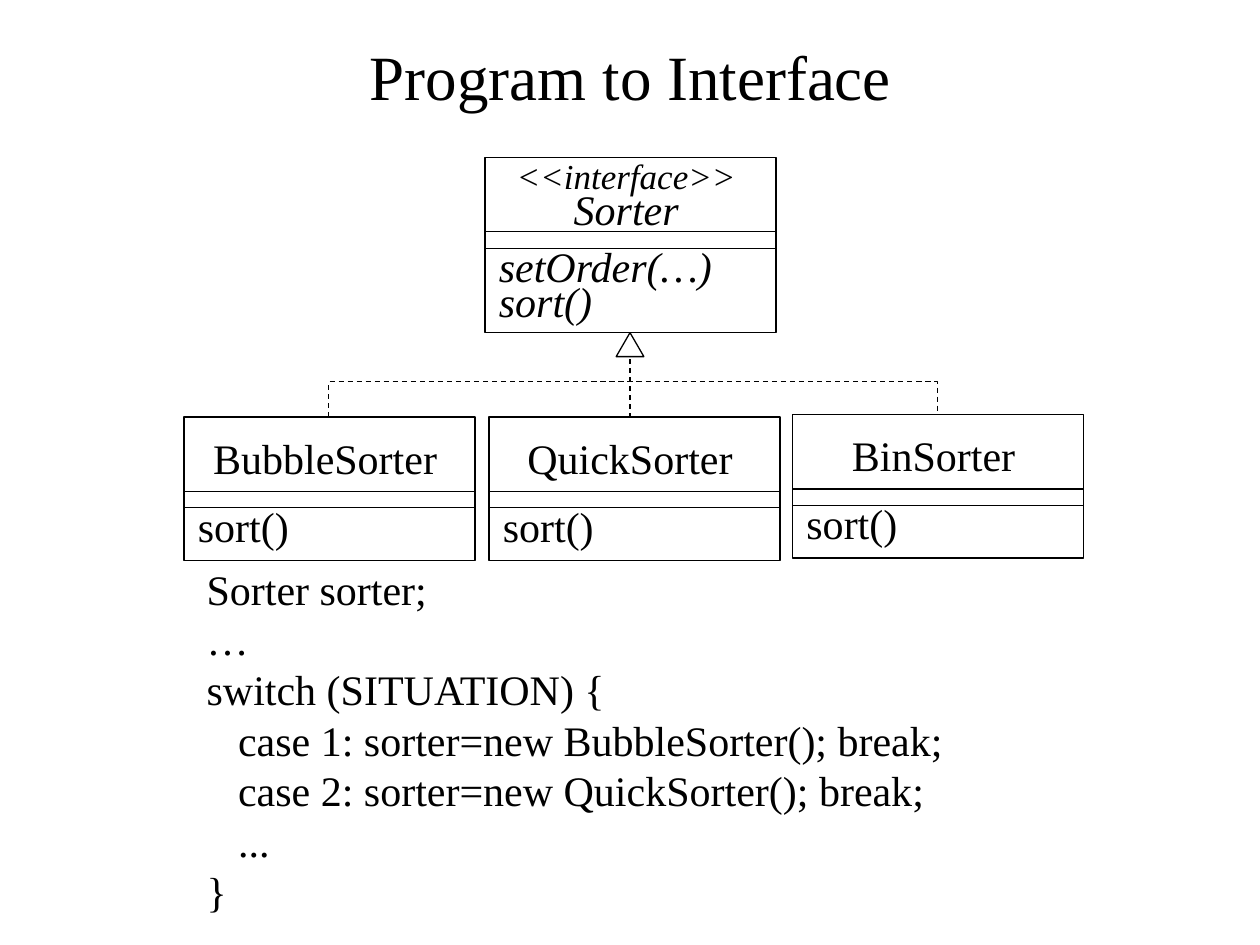
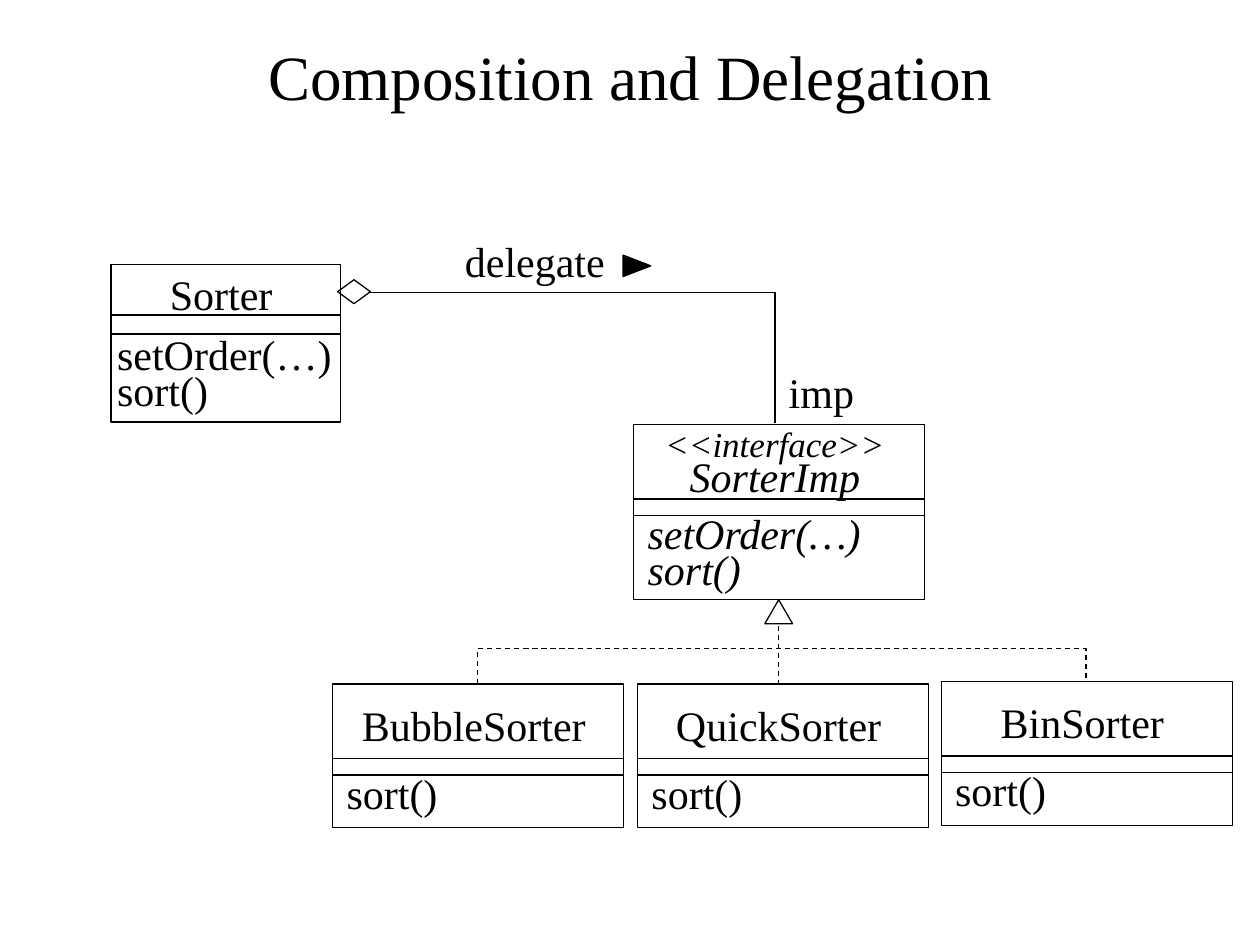
from lxml import etree
from pptx import Presentation
from pptx.dml.color import RGBColor
from pptx.enum.dml import MSO_LINE
from pptx.enum.shapes import MSO_CONNECTOR, MSO_SHAPE
from pptx.enum.text import MSO_ANCHOR, MSO_AUTO_SIZE, PP_ALIGN
from pptx.oxml.ns import qn
from pptx.util import Emu, Pt

BLACK = RGBColor(0x00, 0x00, 0x00)
FONT = "Times New Roman"
PX = 9144  # 100 px to the inch
HAIRLINE = Pt(0.75)
DASH = MSO_LINE.DASH
STRAIGHT, ELBOW = MSO_CONNECTOR.STRAIGHT, MSO_CONNECTOR.ELBOW
RECT, TRIANGLE, DIAMOND = MSO_SHAPE.RECTANGLE, MSO_SHAPE.ISOSCELES_TRIANGLE, MSO_SHAPE.DIAMOND
LEFT, CENTER = PP_ALIGN.LEFT, PP_ALIGN.CENTER

# name, name width, left and top relative to the interface
IMPLEMENTATIONS = [
    ("BubbleSorter", 178, -239, 206),
    ("QuickSorter", 163, 3, 206),
    ("BinSorter", 130, 244, 204),
]
CODE = [
    (0, "Sorter sorter;"),
    (0, "…"),
    (0, "switch (SITUATION) {"),
    (1, "case 1: sorter=new BubbleSorter(); break;"),
    (1, "case 2: sorter=new QuickSorter(); break;"),
    (1, "..."),
    (0, "}"),
]
CODE_INDENT = 25


def px(*lengths):
    return [Emu(round(n * PX)) for n in lengths]


def add_run(p, text, size=24, italic=False):
    r = p.add_run()
    r.text = text
    r.font.name = FONT
    r.font.size = Pt(size)
    r.font.italic = italic
    r.font.color.rgb = BLACK


def add_text(slide, box, lines, align=LEFT, italic=False):
    """Each line is (text, size, line spacing, indent)."""
    tf = slide.shapes.add_textbox(*px(*box)).text_frame
    tf.word_wrap = False
    tf.auto_size = MSO_AUTO_SIZE.SHAPE_TO_FIT_TEXT
    tf.margin_left = tf.margin_right = tf.margin_top = tf.margin_bottom = 0
    for i, (text, size, spacing, indent) in enumerate(lines):
        p = tf.add_paragraph() if i else tf.paragraphs[0]
        p.alignment = align
        p.line_spacing = spacing
        if indent:
            p._p.get_or_add_pPr().set("marL", str(indent * PX))
        add_run(p, text, size, italic)


def add_outline(slide, kind, box, fill=None):
    sp = slide.shapes.add_shape(kind, *px(*box))
    sp.shadow.inherit = False
    sp.line.color.rgb = BLACK
    sp.line.width = HAIRLINE
    if fill is None:
        sp.fill.background()
    else:
        sp.fill.solid()
        sp.fill.fore_color.rgb = fill
    return sp


def add_line(slide, start, end, kind=STRAIGHT, dash=None):
    line = slide.shapes.add_connector(kind, *px(*start, *end))
    line.line.color.rgb = BLACK
    line.line.width = HAIRLINE
    if dash:
        line.line.dash_style = dash
    etree.SubElement(line._element.spPr, qn("a:effectLst"))
    return line


def add_bracket(slide, start, end, rise):
    """Dashed elbow that goes up from start, across, and down to a slightly higher end."""
    (x1, y1), (x2, y2) = start, end
    span, drop = x2 - x1, y1 - y2
    mid_x, mid_y = (x1 + x2) / 2, (y1 + y2) / 2
    line = add_line(slide, start, end, ELBOW, DASH)
    line.left, line.top, line.width, line.height = px(
        mid_x - drop / 2, mid_y - span / 2, drop, span)
    xfrm = line._element.spPr.find(qn("a:xfrm"))
    for name, value in (("rot", "5400000"), ("flipH", "1"), ("flipV", "1")):
        xfrm.set(name, value)
    guides = line._element.spPr.find(qn("a:prstGeom")).get_or_add_avLst()
    etree.SubElement(guides, qn("a:gd"), name="adj1", fmla=f"val {rise * 100000 // drop}")


def add_corner(slide, start, end):
    """Elbow that goes across from start, then down to end."""
    line = add_line(slide, start, end, ELBOW)
    line._element.spPr.find(qn("a:prstGeom")).set("prst", "bentConnector2")


def class_box(slide, box, name, name_width, methods, name_top=12, rules=(59, 72),
              method_at=(11, 77), interface=False):
    x, y, w, h = box
    add_outline(slide, RECT, box)
    lines = [("<<interface>>", 20, None, 0), (name, 24, 0.7, 0)] if interface else [
        (name, 24, None, 0)]
    name_left = x + (w - 7 - name_width) / 2
    add_text(slide, (name_left, y + name_top, name_width, 61 if interface else 40),
             lines, CENTER, interface)
    for rule in rules:
        add_line(slide, (x, y + rule), (x + w, y + rule))
    dx, dy = method_at
    add_text(slide, (x + dx, y + dy, 173 if len(methods) > 1 else 75, 28 * len(methods)),
             [(m, 24, 0.7, 0) for m in methods], italic=interface)


def sorter_hierarchy(slide, x, y, interface_name):
    """An interface at x, y with its three implementing classes below."""
    class_box(slide, (x, y, 231, 139), interface_name, 174, ["setOrder(…)", "sort()"],
              name_top=-2, interface=True)
    for name, width, dx, dy in IMPLEMENTATIONS:
        class_box(slide, (x + dx, y + dy, 231, 114), name, width, ["sort()"])
    add_outline(slide, TRIANGLE, (x + 104, y + 139, 22, 19))
    add_line(slide, (x + 115, y + 160), (x + 115, y + 206), dash=DASH)
    add_bracket(slide, (x - 124, y + 206), (x + 359, y + 204), 28)


def delegating_sorter(slide, x, y):
    """The Sorter class at x, y and its aggregation link to the interface."""
    class_box(slide, (x, y, 182, 125), "Sorter", 174, ["setOrder(…)", "sort()"],
              name_top=3, rules=(40, 55), method_at=(5, 62))
    add_outline(slide, DIAMOND, (x + 180, y + 12, 26, 19))
    add_corner(slide, (x + 206, y + 22), (x + 527, y + 126))
    add_text(slide, (x + 538, y + 81, 55, 40), [("imp", 24, None, 0)])
    add_text(slide, (x + 281, y - 23, 114, 40), [("delegate", 24, None, 0)])
    pointer = add_outline(slide, TRIANGLE, (x + 409, y - 10, 17, 22), BLACK)
    pointer.rotation = 90


def add_slide(prs, title):
    slide = prs.slides.add_slide(prs.slide_layouts[5])
    sp = slide.shapes.title
    sp.left, sp.top, sp.width, sp.height = px(23, 24, 955, 72)
    tf = sp.text_frame
    tf.vertical_anchor = MSO_ANCHOR.MIDDLE
    p = tf.paragraphs[0]
    p.alignment = CENTER
    add_run(p, title, 36)
    return slide


def interface_slide(prs):
    slide = add_slide(prs, "Program to Interface")
    sorter_hierarchy(slide, 385, 125, "Sorter")
    add_text(slide, (164, 447, 600, 280),
             [(text, 24, None, level * CODE_INDENT) for level, text in CODE])


def delegation_slide(prs):
    slide = add_slide(prs, "Composition and Delegation")
    sorter_hierarchy(slide, 503, 337, "SorterImp")
    delegating_sorter(slide, 88, 210)


def main():
    prs = Presentation()
    prs.slide_width, prs.slide_height = px(1000, 750)
    interface_slide(prs)
    delegation_slide(prs)
    prs.save("out.pptx")


if __name__ == "__main__":
    main()
